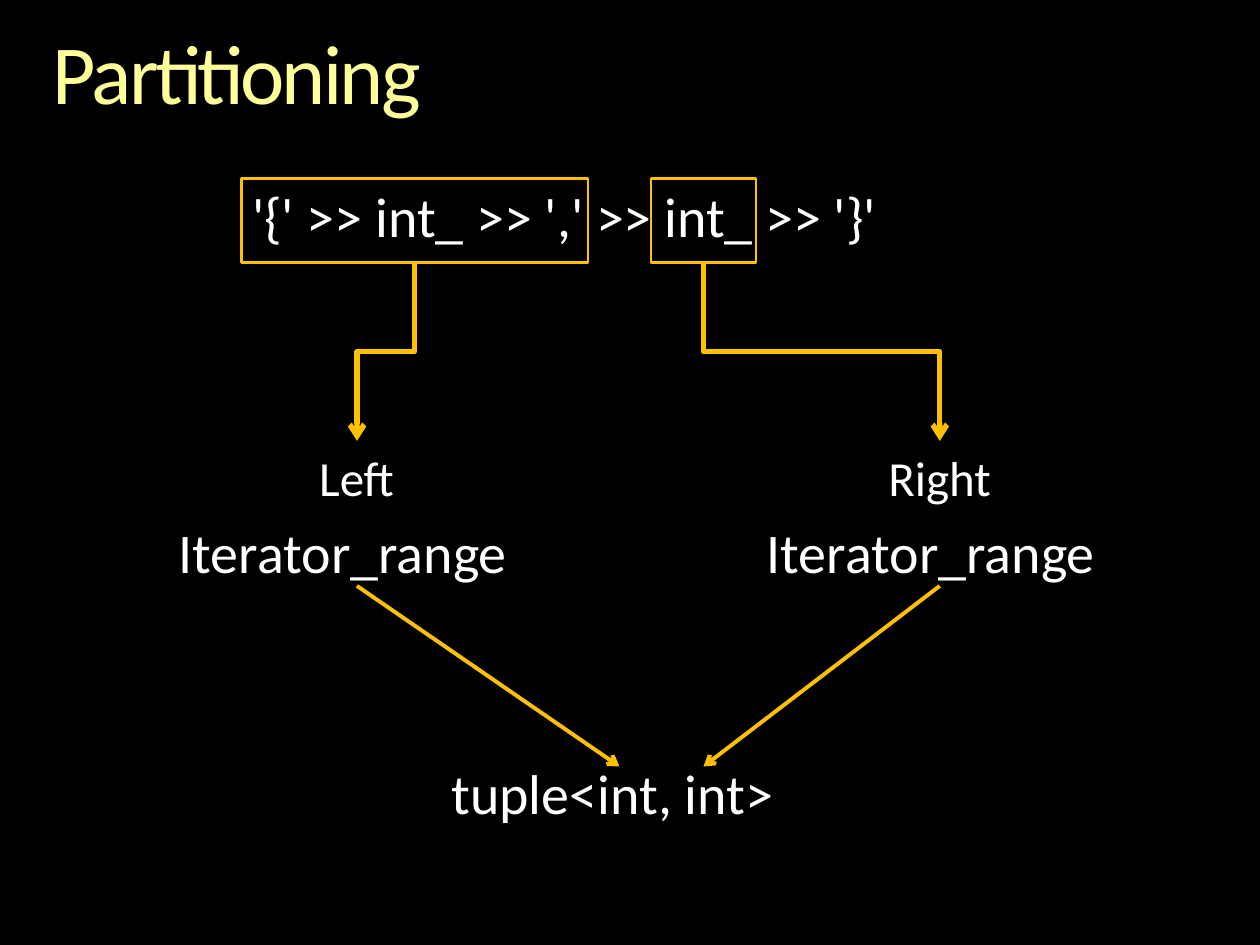
from lxml import etree
from pptx import Presentation
from pptx.dml.color import RGBColor
from pptx.enum.shapes import MSO_CONNECTOR, MSO_SHAPE
from pptx.enum.text import MSO_ANCHOR, MSO_AUTO_SIZE, PP_ALIGN
from pptx.oxml.ns import qn
from pptx.util import Inches, Pt

ELBOW, STRAIGHT = MSO_CONNECTOR.ELBOW, MSO_CONNECTOR.STRAIGHT
RECTANGLE = MSO_SHAPE.RECTANGLE
TOP, LEFT, NO_FIT = MSO_ANCHOR.TOP, PP_ALIGN.LEFT, MSO_AUTO_SIZE.NONE
BLACK, WHITE, YELLOW, AMBER = "000000", "FFFFFF", "FFFF99", "FFC000"

presentation = Presentation()
presentation.slide_width, presentation.slide_height = Inches(10), Inches(7.5)
UNIT = presentation.slide_width / 120  # square grid, 120 columns by 90 rows
slide = presentation.slides.add_slide(presentation.slide_layouts[1])
slide.background.fill.solid()
slide.background.fill.fore_color.rgb = RGBColor.from_string(BLACK)


def write(shape, text, box, size=32, color=WHITE, spacing=0.9):
    """Place a text shape on the grid and fill it with one left-aligned line."""
    shape.left, shape.top, shape.width, shape.height = (round(n * UNIT) for n in box)
    frame = shape.text_frame
    frame.text = text
    frame.word_wrap = True
    frame.auto_size = NO_FIT
    frame.vertical_anchor = TOP
    frame.margin_left = frame.margin_right = frame.margin_top = frame.margin_bottom = 0
    paragraph = frame.paragraphs[0]
    paragraph.alignment = LEFT
    paragraph.line_spacing = spacing
    paragraph.space_before = Pt(0)
    paragraph.font.name = "Calibri"
    paragraph.font.size = Pt(size)
    paragraph.font.color.rgb = RGBColor.from_string(color)
    return paragraph


def add_arrow(kind, start_x, start_y, end_x, end_y, width):
    connector = slide.shapes.add_connector(
        kind, *(round(n * UNIT) for n in (start_x, start_y, end_x, end_y)))
    connector.line.color.rgb = RGBColor.from_string(AMBER)
    connector.line.width = Pt(width)
    etree.SubElement(connector.line._get_or_add_ln(), qn("a:tailEnd"), type="arrow")
    etree.SubElement(connector._element.spPr, qn("a:effectLst"))
    return connector


title = write(slide.shapes.title, "Partitioning", (5, 3, 110, 8.8), 48, YELLOW)
title.runs[0].font._element.set("spc", "-150")

grammar = write(slide.placeholders[1], "'{' >> int_ >> ',' >> int_ >> '}'", (24, 18, 66, 5.8))
properties = grammar._p.get_or_add_pPr()
properties.set("marL", "0")
properties.set("indent", "0")
properties.append(etree.Element(qn("a:buNone")))

BOX_TOP, BOX_HEIGHT = 17, 8
RANGE_TOP, RANGE_HEIGHT = 50, 5.8
TUPLE_TOP = 73

# side, boxed part (left, width), label (left, width), range (left, width),
# column of the range's arrows, column where the arrow meets the tuple
sides = [
    ("Left", (23, 33), (30.4, 8), (17, 34), 34, 59),
    ("Right", (62, 10), (84.6, 10), (73, 33), 89.5, 67),
]
for side, (box_left, box_width), label, branch, branch_x, tuple_x in sides:
    box = slide.shapes.add_shape(
        RECTANGLE, *(round(n * UNIT) for n in (box_left, BOX_TOP, box_width, BOX_HEIGHT)))
    box.shadow.inherit = False
    box.fill.background()
    box.line.color.rgb = RGBColor.from_string(AMBER)
    box.line.width = Pt(1.5)

    for text, (left, width), top, size, spacing in (
            (side, label, 42.6, 28, 1), ("Iterator_range", branch, RANGE_TOP, 32, 0.9)):
        write(slide.shapes.add_textbox(0, 0, 0, 0), text,
              (left, top, width, RANGE_HEIGHT), size, spacing=spacing)

    # An elbow leaves sideways, so it is laid flat around its centre and turned
    box_x, box_bottom, label_top = box_left + box_width / 2, BOX_TOP + BOX_HEIGHT, 42
    center_x, center_y = (box_x + branch_x) / 2, (box_bottom + label_top) / 2
    half_drop, half_run = (label_top - box_bottom) / 2, abs(branch_x - box_x) / 2
    direction = 1 if branch_x < box_x else -1
    elbow = add_arrow(ELBOW, center_x - direction * half_drop, center_y - half_run,
                      center_x + direction * half_drop, center_y + half_run, 3)
    elbow._element.spPr.xfrm.set("rot", str(direction * 90 * 60000 % (360 * 60000)))

    add_arrow(STRAIGHT, branch_x, RANGE_TOP + RANGE_HEIGHT, tuple_x, TUPLE_TOP, 2.25)

write(slide.shapes.add_textbox(0, 0, 0, 0), "tuple<int, int>", (43, TUPLE_TOP, 41, RANGE_HEIGHT))

presentation.save("out.pptx")
